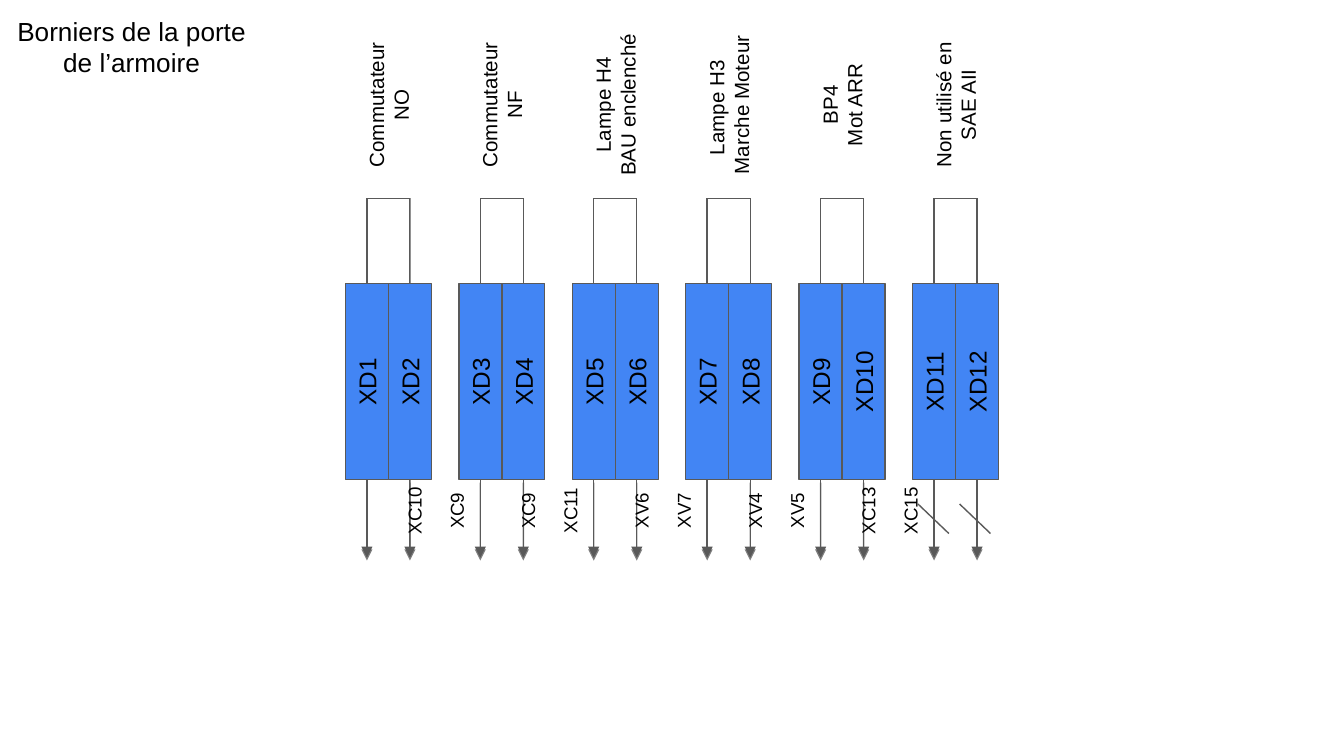
from pptx import Presentation
from pptx.dml.color import RGBColor as RGB
from pptx.enum.shapes import MSO_CONNECTOR as Conn, MSO_SHAPE as Shape
from pptx.enum.text import PP_ALIGN as Align
from pptx.oxml import parse_xml
from pptx.oxml.ns import nsdecls
from pptx.util import Inches, Pt

BLUE = RGB(0x42, 0x85, 0xF4)
GREY = RGB(0x59, 0x59, 0x59)
BLACK = RGB(0, 0, 0)

SHADE = ('<a:outerShdw dist="19050" dir="5400000" algn="bl" rotWithShape="0">'
         '<a:srgbClr val="000000"><a:alpha val="50000"/></a:srgbClr></a:outerShdw>')

GROUPS = [
    ("Commutateur\nNO", None, "XC10"),
    ("Commutateur\nNF", "XC9", "XC9"),
    ("Lampe H4\nBAU enclenché", "XC11", "XV6"),
    ("Lampe H3 \nMarche Moteur", "XV7", "XV4"),
    ("BP4\nMot ARR", "XV5", "XC13"),
    ("Non utilisé en SAE AII", "XC15", None),
]
LEFT, STEP = 2.57, 0.844
WIDE, HIGH = 0.32, 1.46
TOP, BRIDGE, TIP = 2.11, 1.475, 4.15


class Board:
    def __init__(self, slide):
        self.shapes = slide.shapes
        self.font = "Arial"
        self.weight = Pt(0.75)

    def block(self, x, y, w, h):
        box = self.shapes.add_shape(Shape.RECTANGLE, Inches(x), Inches(y), Inches(w), Inches(h))
        box.shadow.inherit = False
        box.fill.solid()
        box.fill.fore_color.rgb = BLUE
        box.line.color.rgb = GREY
        box.line.width = self.weight
        return box

    def line(self, x1, y1, x2, y2, start=None, arrow=False):
        wire = self.shapes.add_connector(Conn.STRAIGHT, Inches(x1), Inches(y1), Inches(x2), Inches(y2))
        wire.line.color.rgb = GREY
        wire.line.width = self.weight
        if start:
            wire.begin_connect(*start)
        if arrow:
            wire.line._get_or_add_ln().append(parse_xml(f'<a:tailEnd {nsdecls("a")} type="triangle"/>'))
        shade = SHADE if arrow else ""
        wire._element.spPr.append(parse_xml(f'<a:effectLst {nsdecls("a")}>{shade}</a:effectLst>'))

    def text(self, words, x, y, w, h, size=13, turn=270):
        box = self.shapes.add_textbox(Inches(x - w / 2), Inches(y - h / 2), Inches(w), Inches(h))
        box.rotation = turn
        frame = box.text_frame
        frame.word_wrap = True
        frame.margin_left = frame.margin_right = Inches(0.1)
        frame.margin_top = frame.margin_bottom = Inches(0.1)
        frame.text = words
        for para in frame.paragraphs:
            para.alignment = Align.CENTER
            for run in para.runs:
                run.font.name = self.font
                run.font.size = Pt(size)
                run.font.color.rgb = BLACK


def main():
    deck = Presentation()
    deck.slide_width = Inches(10)
    deck.slide_height = deck.slide_width * 9 // 16
    board = Board(deck.slides.add_slide(deck.slide_layouts[6]))

    for i, (title, *wires) in enumerate(GROUPS):
        left = LEFT + i * STEP
        pins = [left + WIDE * (k + 0.5) for k in range(2)]
        for k, (pin, wire) in enumerate(zip(pins, wires)):
            box = board.block(left + k * WIDE, TOP, WIDE, HIGH)
            board.line(pin, TOP, pin, BRIDGE, start=(box, 0))
            board.line(pin, TOP + HIGH, pin, TIP, start=(box, 2), arrow=True)
            board.text(f"XD{2 * i + k + 1}", pin, 2.84, 0.67, 0.42)
            if wire:
                shift = 0.05 if k else -0.16
                board.text(wire, pin + shift, 3.8, 0.71, 0.37, size=10)
        board.line(pins[0], BRIDGE, pins[1], BRIDGE)
        board.text(title, left + WIDE, 0.78, 1.38, 0.57, size=11)

    for x in (6.83, 7.14):
        board.line(x, 3.75, x + 0.23, 3.97)
    board.text("Borniers de la porte de l’armoire", 0.98, 0.35, 1.97, 0.67, size=14, turn=0)
    deck.save("out.pptx")


if __name__ == "__main__":
    main()
